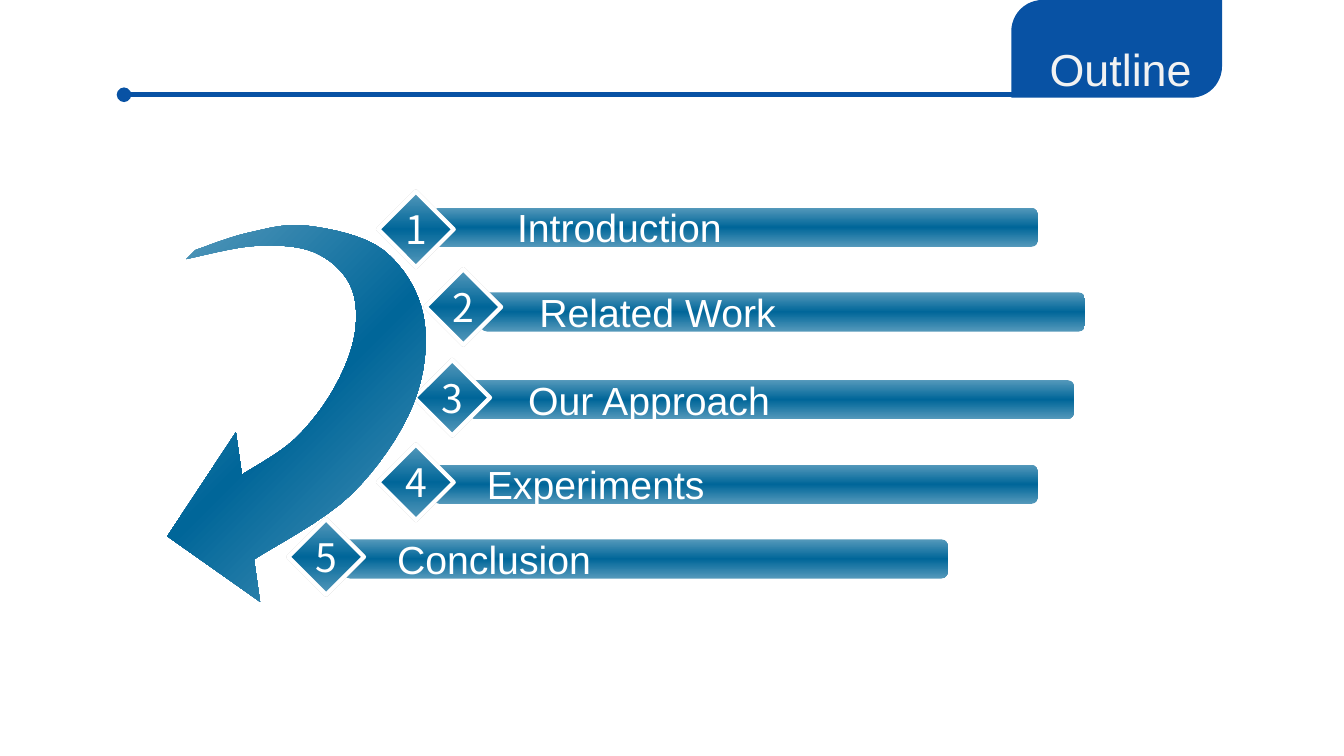
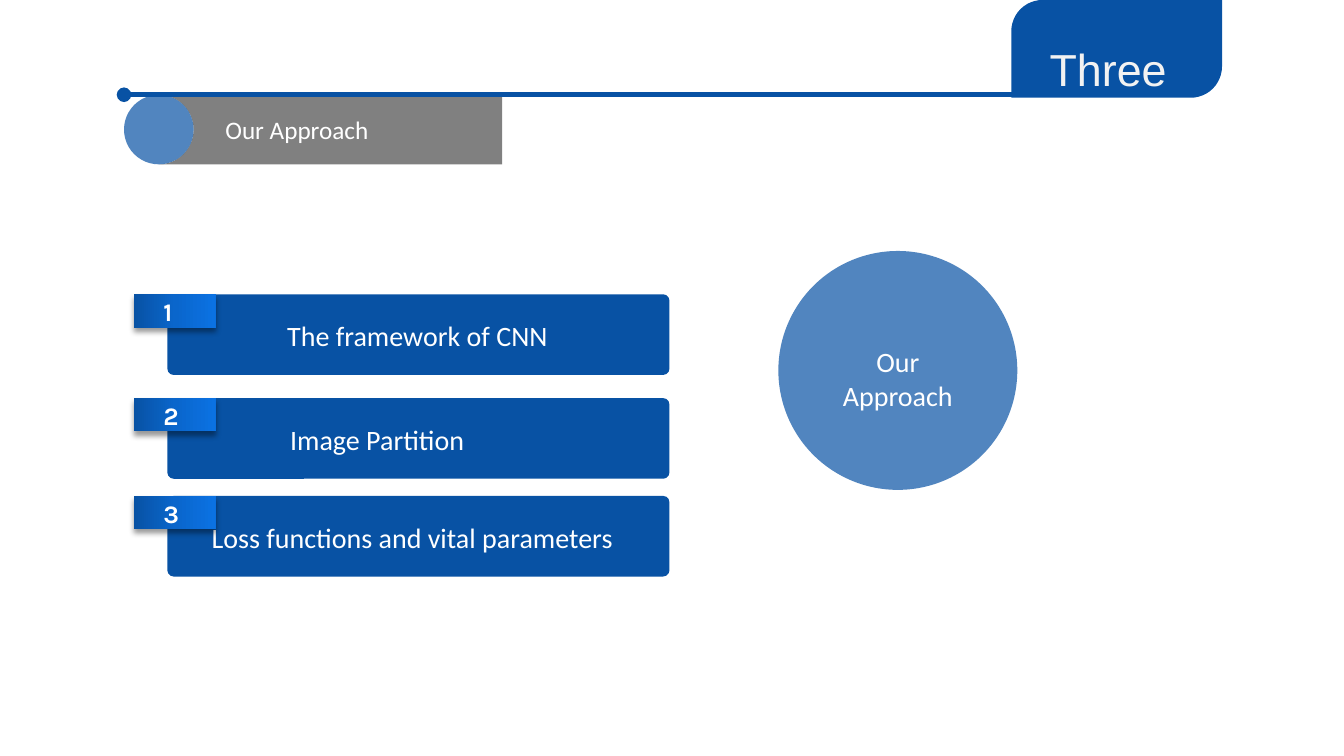
import math
from collections import namedtuple

from lxml import etree
from pptx import Presentation
from pptx.dml.color import RGBColor
from pptx.enum.shapes import MSO_CONNECTOR, MSO_SHAPE
from pptx.enum.text import MSO_ANCHOR, MSO_AUTO_SIZE, PP_ALIGN
from pptx.oxml.ns import qn
from pptx.util import Inches, Pt

LEFT, CENTER = PP_ALIGN.LEFT, PP_ALIGN.CENTER
TOP, MIDDLE = MSO_ANCHOR.TOP, MSO_ANCHOR.MIDDLE
STRAIGHT = MSO_CONNECTOR.STRAIGHT
DIAMOND, OVAL, RECTANGLE = MSO_SHAPE.DIAMOND, MSO_SHAPE.OVAL, MSO_SHAPE.RECTANGLE
ROUNDED, TAB = MSO_SHAPE.ROUNDED_RECTANGLE, MSO_SHAPE.ROUND_2_DIAG_RECTANGLE

COLORS = {
    "blue": "0852A4", "mid_blue": "0A66CC", "bright_blue": "0B72E3",
    "teal": "006699", "light_teal": "5599BB", "gray": "808080",
    "white": "FFFFFF", "title": "F2F2F2", "black": "000000",
}
TEAL_STOPS = ("light_teal", "teal", "light_teal")
TAG_STOPS = ("blue", "mid_blue", "bright_blue")
TITLE_FONT, BODY_FONT = "Arial", "Calibri"
NUMBER_FONT, TAG_FONT = "Noto Sans CJK SC", "Karla"

OUTLINE_TITLE, APPROACH_TITLE = "Outline", "Three"
SECTION = "Our Approach"

OutlineRow = namedtuple("OutlineRow", "label diamond_left diamond_top bar_top text_left")
OUTLINE_ROWS = [
    OutlineRow("Introduction", 3.75, 1.9, 2.06, 5.11),
    OutlineRow("Related Work", 4.22, 2.67, 2.9, 5.33),
    OutlineRow("Our Approach", 4.11, 3.57, 3.77, 5.22),
    OutlineRow("Experiments", 3.75, 4.41, 4.61, 4.81),
    OutlineRow("Conclusion", 2.86, 5.15, 5.35, 3.92),
]
DIAMOND_SIZE = 0.75
BAR_OFFSET, BAR_WIDTH, BAR_HEIGHT = 0.55, 5.99, 0.39

ApproachStep = namedtuple("ApproachStep", "label top text_left")
APPROACH_STEPS = [
    ApproachStep("The framework of CNN", 2.92, 2.83),
    ApproachStep("Image Partition", 3.95, 2.86),
    ApproachStep("Loss functions and vital parameters", 4.92, 2.08),
]
PANEL_LEFT, PANEL_WIDTH, PANEL_HEIGHT = 1.66, 4.98, 0.8
TAG_OVERHANG, TAG_WIDTH, TAG_HEIGHT = 0.33, 0.81, 0.33

RULE_LEFT, RULE_RIGHT, RULE_TOP = 1.23, 11.81, 0.94
TAB_BOX = (10.03, 0, 2.09, 0.97)
TITLE_BOX = (10.07, 0.36, 2.09, 0.64)
DOT_SIZE, BAND_RIGHT = 0.69, 4.98
CIRCLE_BOX = (7.72, 2.49, 2.37, 2.37)

ARROW_OUTER_EDGE = [(1.94, 2.48), (2.46, 2.31), (3.05, 2.24), (3.8, 2.48),
                    (4.2, 3.13), (4.1, 4.01), (3.48, 4.91), (2.52, 5.55)]
ARROW_HEAD = [(2.58, 5.97), (1.66, 5.32), (2.34, 4.29)]
ARROW_INNER_EDGE = [(2.4, 4.71), (2.92, 4.36), (3.31, 3.86), (3.52, 3.31),
                    (3.47, 2.82), (3.11, 2.5), (2.53, 2.44), (1.85, 2.57)]
CURVE_STEPS = 8


def rgb(name):
    return RGBColor.from_string(COLORS[name])


def set_opacity(color, opacity):
    if opacity < 100:
        etree.SubElement(color, qn("a:alpha"), val=str(opacity * 1000))


def add_color(parent, name, opacity=100):
    set_opacity(etree.SubElement(parent, qn("a:srgbClr"), val=COLORS[name]), opacity)


def fill_solid(shape, name, opacity):
    shape.fill.solid()
    shape.fill.fore_color.rgb = rgb(name)
    set_opacity(shape.element.spPr.find(qn("a:solidFill"))[0], opacity)


def fill_gradient(shape, stops, angle):
    shape.fill.gradient()
    gradient = shape.element.spPr.find(qn("a:gradFill"))
    for child in list(gradient):
        gradient.remove(child)
    stop_list = etree.SubElement(gradient, qn("a:gsLst"))
    for index, name in enumerate(stops):
        position = 100000 * index // (len(stops) - 1)
        add_color(etree.SubElement(stop_list, qn("a:gs"), pos=str(position)), name)
    etree.SubElement(gradient, qn("a:lin"), ang=str(angle * 60000), scaled="0")


def style_shape(shape, fill=None, opacity=100, stops=None, angle=0):
    shape.shadow.inherit = False
    shape.line.fill.background()
    if stops:
        fill_gradient(shape, stops, angle)
    else:
        fill_solid(shape, fill, opacity)
    return shape


def add_shape(slide, kind, box, adjustments=(), **style):
    shape = slide.shapes.add_shape(kind, *map(Inches, box))
    for index, value in enumerate(adjustments):
        shape.adjustments[index] = value
    return style_shape(shape, **style)


def add_outline(slide, points, **style):
    corners = [(Inches(x), Inches(y)) for x, y in points]
    builder = slide.shapes.build_freeform(*corners[0])
    builder.add_line_segments(corners[1:], close=True)
    return style_shape(builder.convert_to_shape(), **style)


def add_shadow(shape, color, opacity, blur=0, distance=0, direction=0):
    effects = shape.element.spPr.find(qn("a:effectLst"))
    shadow = etree.SubElement(
        effects, qn("a:outerShdw"), blurRad=str(Pt(blur)), dist=str(Pt(distance)),
        dir=str(direction * 60000), algn="ctr", rotWithShape="0")
    add_color(shadow, color, opacity)


def set_text(shape, text, size, font, color="white", align=LEFT, anchor=MIDDLE,
             insets=(0, 0, 0, 0), wrap=True, bold=False):
    frame = shape.text_frame
    frame.text = text
    frame.word_wrap = wrap
    frame.auto_size = MSO_AUTO_SIZE.NONE
    frame.vertical_anchor = anchor
    frame.margin_left, frame.margin_top, frame.margin_right, frame.margin_bottom = map(Inches, insets)
    paragraph = frame.paragraphs[0]
    paragraph.alignment = align
    for run in paragraph.runs:
        run.font.size = Pt(size)
        run.font.name = font
        run.font.bold = bold
        run.font.color.rgb = rgb(color)


def spline_value(before, start, end, after, t):
    return (start + (end - before) * t / 2
            + (2 * before - 5 * start + 4 * end - after) * t ** 2 / 2
            + (3 * start - before - 3 * end + after) * t ** 3 / 2)


def smooth_curve(anchors):
    padded = [anchors[0], *anchors, anchors[-1]]
    points = []
    for neighbours in zip(padded, padded[1:], padded[2:], padded[3:]):
        x_values, y_values = zip(*neighbours)
        for step in range(CURVE_STEPS):
            t = step / CURVE_STEPS
            points.append((spline_value(*x_values, t), spline_value(*y_values, t)))
    return points + [anchors[-1]]


def circle_arc(center_x, center_y, radius, first, last, step):
    angles = [math.radians(degrees) for degrees in range(first, last + step, step)]
    return [(center_x + radius * math.cos(angle), center_y + radius * math.sin(angle))
            for angle in angles]


def add_header(slide, text):
    add_shape(slide, TAB, TAB_BOX, (0.321, 0), fill="blue")
    rule = slide.shapes.add_connector(
        STRAIGHT, *map(Inches, (RULE_LEFT, RULE_TOP, RULE_RIGHT, RULE_TOP)))
    rule.line.color.rgb = rgb("blue")
    rule.line.width = Pt(3.5)
    properties = rule.element.spPr
    etree.SubElement(properties.find(qn("a:ln")), qn("a:headEnd"), type="oval")
    etree.SubElement(properties, qn("a:effectLst"))
    title = slide.shapes.title
    title.left, title.top, title.width, title.height = map(Inches, TITLE_BOX)
    set_text(title, text, 32, TITLE_FONT, "title", anchor=TOP, insets=(0.34, 0.05, 0, 0.05))
    slide.shapes.element.append(title.element)


def add_curved_arrow(slide):
    points = smooth_curve(ARROW_OUTER_EDGE) + ARROW_HEAD + smooth_curve(ARROW_INNER_EDGE)
    add_outline(slide, points, stops=TEAL_STOPS, angle=45)


def add_outline_row(slide, number, row):
    bar_left = row.diamond_left + BAR_OFFSET
    bar = add_shape(slide, ROUNDED, (bar_left, row.bar_top, BAR_WIDTH, BAR_HEIGHT), (0.167,),
                    stops=TEAL_STOPS, angle=90)
    set_text(bar, row.label, 28, TITLE_FONT, insets=(row.text_left - bar_left, 0, 0, 0))
    diamond = add_shape(slide, DIAMOND, (row.diamond_left, row.diamond_top, DIAMOND_SIZE, DIAMOND_SIZE),
                        stops=TEAL_STOPS, angle=90)
    diamond.line.color.rgb = rgb("white")
    diamond.line.width = Pt(3)
    add_shadow(diamond, "gray", 50)
    set_text(diamond, str(number), 28, NUMBER_FONT, align=CENTER, wrap=False)


def build_outline_slide(slide):
    add_header(slide, OUTLINE_TITLE)
    for number, row in enumerate(OUTLINE_ROWS, 1):
        if number == len(OUTLINE_ROWS):
            add_curved_arrow(slide)
        add_outline_row(slide, number, row)


def add_section_band(slide):
    radius = DOT_SIZE / 2
    bottom = RULE_TOP + DOT_SIZE
    notch = circle_arc(RULE_LEFT + radius, RULE_TOP + radius, radius, 90, -90, -6)
    band = add_outline(slide, [(BAND_RIGHT, RULE_TOP), (BAND_RIGHT, bottom)] + notch, fill="gray")
    set_text(band, SECTION, 18, BODY_FONT, insets=(0.66, 0.05, 0.1, 0.05))


def add_approach_step(slide, number, step):
    panel = add_shape(slide, ROUNDED, (PANEL_LEFT, step.top, PANEL_WIDTH, PANEL_HEIGHT), (0.078,),
                      fill="blue")
    set_text(panel, step.label, 20, BODY_FONT, insets=(step.text_left - PANEL_LEFT, 0.06, 0, 0.04))
    tag = add_shape(slide, RECTANGLE, (PANEL_LEFT - TAG_OVERHANG, step.top, TAG_WIDTH, TAG_HEIGHT),
                    stops=TAG_STOPS)
    add_shadow(tag, "black", 40, blur=4, distance=3, direction=90)
    set_text(tag, str(number), 18, TAG_FONT, insets=(0.29, 0.01, 0, 0), bold=True)


def build_approach_slide(slide):
    add_section_band(slide)
    add_header(slide, APPROACH_TITLE)
    add_shape(slide, OVAL, (RULE_LEFT, RULE_TOP, DOT_SIZE, DOT_SIZE), fill="blue", opacity=70)
    circle = add_shape(slide, OVAL, CIRCLE_BOX, fill="blue", opacity=70)
    set_text(circle, SECTION, 20, BODY_FONT, align=CENTER, insets=(0.15, 0.16, 0.15, 0))
    for number, step in enumerate(APPROACH_STEPS, 1):
        add_approach_step(slide, number, step)


def main():
    presentation = Presentation()
    presentation.slide_width, presentation.slide_height = Inches(13.33), Inches(7.5)
    title_only = presentation.slide_layouts[5]
    for build_slide in (build_outline_slide, build_approach_slide):
        build_slide(presentation.slides.add_slide(title_only))
    presentation.save("out.pptx")


if __name__ == "__main__":
    main()
